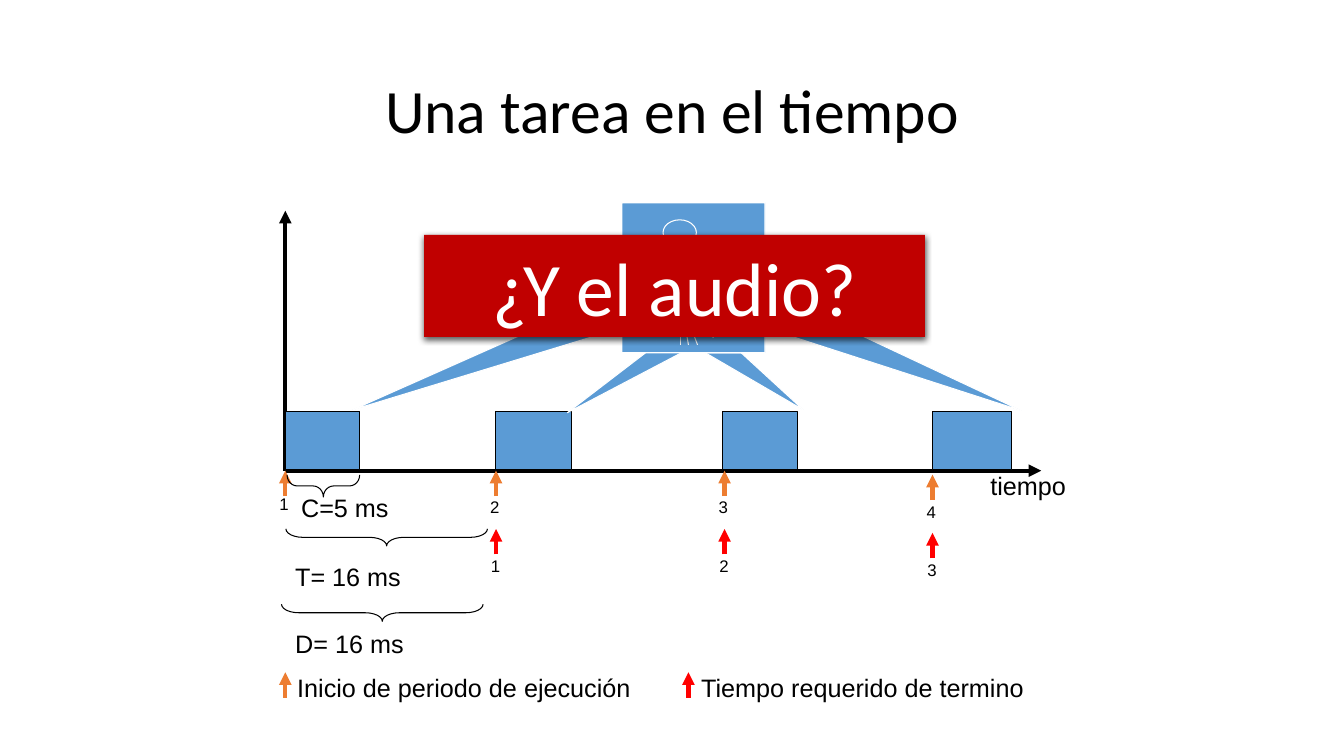
import pptx
import pptx.util
import pptx.dml.color
import pptx.enum.shapes
import pptx.enum.text
import pptx.oxml
import pptx.oxml.ns
import lxml.etree

Cm = pptx.util.Cm
Pt = pptx.util.Pt
RGB = pptx.dml.color.RGBColor.from_string
SHAPE = pptx.enum.shapes.MSO_SHAPE
qn = pptx.oxml.ns.qn

COLORS = {
    "ink": "000000",
    "paper": "FFFFFF",
    "task": "5B9BD5",
    "start": "ED7D31",
    "deadline": "FF0000",
    "banner": "C00000",
}

presentation = pptx.Presentation()
presentation.slide_width = Cm(33.87)
presentation.slide_height = Cm(19.05)
slide = presentation.slides.add_slide(presentation.slide_layouts[5])


def draw_line(start, end, color, width, arrow=False):
    line = slide.shapes.add_connector(
        pptx.enum.shapes.MSO_CONNECTOR.STRAIGHT, *map(Cm, start + end))
    line.line.color.rgb = RGB(COLORS[color])
    line.line.width = Pt(width)
    if arrow:
        tip = lxml.etree.SubElement(line.line._get_or_add_ln(), qn("a:tailEnd"))
        tip.set("type", "triangle")
    lxml.etree.SubElement(line._element.spPr, qn("a:effectLst"))


def draw_shape(preset, box, fill, outline, adjustments=()):
    shape = slide.shapes.add_shape(preset, *map(Cm, box))
    shape.shadow.inherit = False
    if fill:
        shape.fill.solid()
        shape.fill.fore_color.rgb = RGB(COLORS[fill])
    else:
        shape.fill.background()
    if outline:
        shape.line.color.rgb = RGB(COLORS[outline])
        shape.line.width = Pt(0.75)
    else:
        shape.line.fill.background()
    for index, value in enumerate(adjustments):
        shape.adjustments[index] = value
    return shape


origin_x, origin_y = 7.19, 11.86
draw_line((origin_x, origin_y), (26.24, origin_y), "ink", 3, True)
draw_line((origin_x, origin_y), (origin_x, 5.31), "ink", 3, True)

for left, width in [(7.19, 1.88), (12.5, 1.9), (18.21, 1.88), (23.5, 2.0)]:
    draw_shape(SHAPE.RECTANGLE, (left, 10.36, width, 1.48), "task", "ink")

arrow_length, deadline_drop = 0.64, 1.47
arrows = [(7.19, 16.94, "start"), (17.35, 16.94, "deadline")]
labels = [
    (24.71, 11.73, 2.41, "tiempo", 18),
    (7.24, 16.81, 8.92, "Inicio de periodo de ejecución", 18),
    (17.42, 16.81, 8.66, "Tiempo requerido de termino", 18),
    (7.34, 12.27, 2.74, "C=5 ms", 18),
    (7.19, 14.02, 3.2, "T= 16 ms", 18),
    (7.19, 15.7, 3.28, "D= 16 ms", 18),
]
periods = [(7.19, 11.86, 0.46), (12.5, 11.86, 0.54),
           (18.26, 11.86, 0.54), (23.5, 11.96, 0.56)]
for number, (x, top, gap) in enumerate(periods, 1):
    arrows.append((x, top, "start"))
    labels.append((x - 0.4, top + gap, 0.74, str(number), 12))
    if number > 1:
        deadline_top = top + deadline_drop
        arrows.append((x, deadline_top, "deadline"))
        labels.append((x - 0.38, deadline_top + 0.54, 0.74, str(number - 1), 12))
for x, top, color in arrows:
    draw_line((x, top + arrow_length), (x, top), color, 3, True)

for box, curve in [((7.87, 11.33, 0.56, 1.83), 0.458),
                   ((9.53, 11.0, 0.43, 5.08), 1),
                   ((9.42, 12.9, 0.43, 5.08), 1)]:
    brace = draw_shape(SHAPE.LEFT_BRACE, box, None, "ink", (curve, 0.5))
    brace.rotation = 270

for pointer in [(2.29, 0.886), (0.768, 0.881), (-0.879, 0.899), (-2.38, 0.881)]:
    draw_shape(SHAPE.RECTANGULAR_CALLOUT, (15.67, 5.11, 3.61, 3.78),
               "task", "paper", pointer)

draw_shape(SHAPE.OVAL, (16.71, 5.54, 0.84, 0.64), "task", "paper")
for foot in [(17.98, 8.51), (17.58, 8.69), (17.15, 8.69), (17.35, 8.69)]:
    draw_line((17.15, 7.57), foot, "paper", 0.75)

banner = draw_shape(SHAPE.RECTANGLE, (10.69, 5.92, 12.62, 2.57), "banner", None)
effects = banner._element.spPr.find(qn("a:effectLst"))
shadow = lxml.etree.SubElement(effects, qn("a:outerShdw"), blurRad="57150",
                               dist="19050", dir="5400000", rotWithShape="0")
shade = lxml.etree.SubElement(shadow, qn("a:srgbClr"), val=COLORS["ink"])
lxml.etree.SubElement(shade, qn("a:alpha"), val="63000")

title = slide.shapes.title
title_place = {"left": 2.34, "top": 1.02, "width": 29.21, "height": 3.68}
for side, length in title_place.items():
    setattr(title, side, Cm(length))

CENTER = pptx.enum.text.PP_ALIGN.CENTER
LEFT = pptx.enum.text.PP_ALIGN.LEFT
captions = [
    (title, "Una tarea en el tiempo", "ink", True,
     {"name": "Calibri", "size": Pt(44)}, {"alignment": CENTER, "line_spacing": 0.9}),
    (banner, "¿Y el audio?", "paper", True,
     {"name": "Calibri", "size": Pt(54)}, {"alignment": CENTER}),
]
for left, top, width, text, size in labels:
    height = 1.02 if size == 18 else 0.76
    label = slide.shapes.add_textbox(Cm(left), Cm(top), Cm(width), Cm(height))
    captions.append((label, text, "ink", False,
                     {"name": "Arial", "size": Pt(size)}, {"alignment": LEFT}))

for holder, text, color, wrap, font_format, paragraph_format in captions:
    frame = holder.text_frame
    frame.text = text
    frame.word_wrap = wrap
    if holder is title:
        frame.vertical_anchor = pptx.enum.text.MSO_ANCHOR.MIDDLE
    paragraph = frame.paragraphs[0]
    font = paragraph.runs[0].font
    font.color.rgb = RGB(COLORS[color])
    for target, values in [(font, font_format), (paragraph, paragraph_format)]:
        for attribute, value in values.items():
            setattr(target, attribute, value)

presentation.save("out.pptx")
